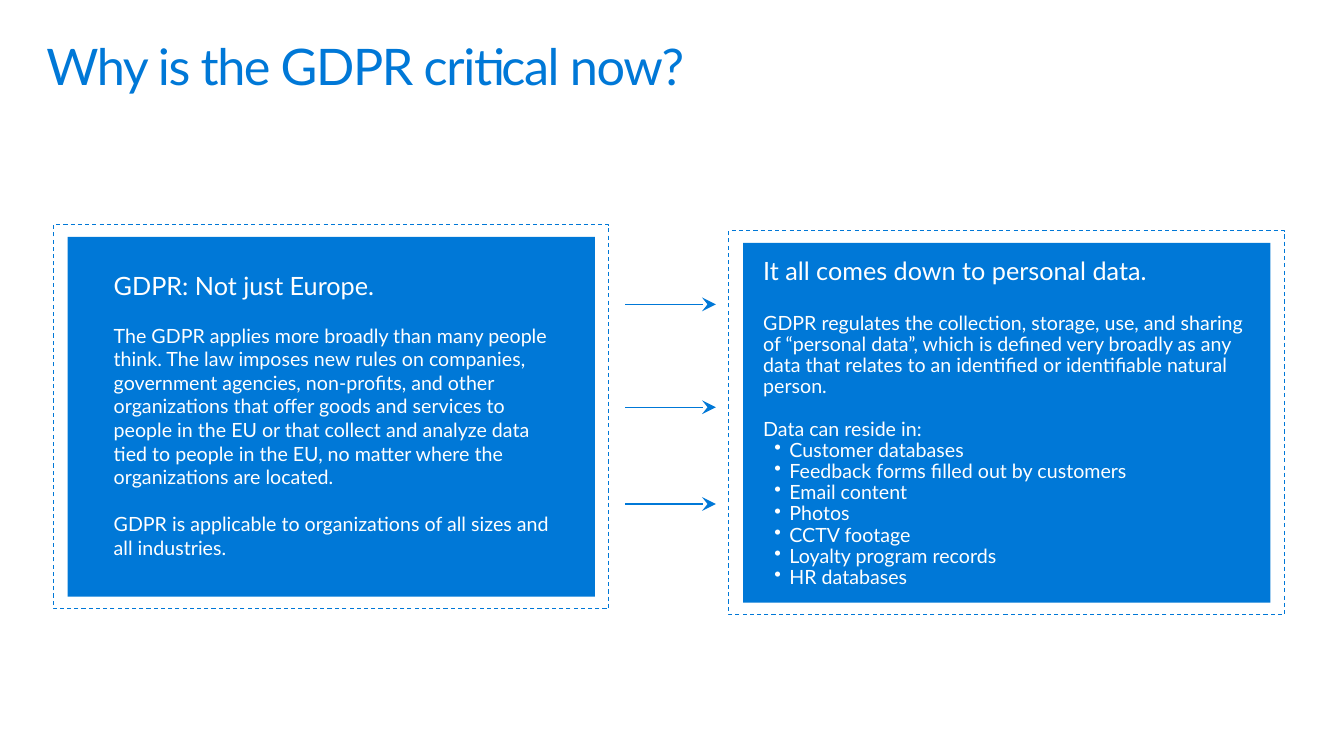
from lxml import etree
from pptx import Presentation
from pptx import util as u
from pptx.dml.color import RGBColor
from pptx.enum import dml, shapes, text
from pptx.oxml import ns


def rgb(value):
    """Turn a hex string into a colour."""
    return RGBColor.from_string(value)


class Deck:
    """Hold the style and the current slide, and draw each kind of element."""

    FONT, BLUE, WHITE = "Lato", "0078D7", "FFFFFF"

    def __init__(self, prs):
        """Add a blank slide to the presentation."""
        self.s = prs.slides.add_slide(prs.slide_layouts[6])

    def rect(self, x, y, w, h, fill, dashed=False):
        """Draw a plain or dashed rectangle."""
        sp = self.s.shapes.add_shape(
            shapes.MSO_SHAPE.RECTANGLE, *map(u.Inches, (x, y, w, h)))
        sp.shadow.inherit = False
        sp.fill.solid()
        sp.fill.fore_color.rgb = rgb(fill)
        if dashed:
            sp.line.color.rgb = rgb(self.BLUE)
            sp.line.width = u.Pt(0.75)
            sp.line.dash_style = dml.MSO_LINE.DASH
        else:
            sp.line.fill.background()
        return sp

    def panel(self, x, y):
        """Draw a blue panel inside a dashed frame."""
        self.rect(x, y, 5.51, 3.81, self.WHITE, dashed=True)
        return self.rect(x + 0.14, y + 0.12, 5.23, 3.57, self.BLUE)

    def box(self, x, y, w, h):
        """Add an empty text box."""
        return self.s.shapes.add_textbox(*map(u.Inches, (x, y, w, h)))

    def add_text(self, sp, paras, color, pad=(0.1, 0.05), line=1.0):
        """Fill a shape with paragraphs of (text, size, space before, bullet)."""
        tf = sp.text_frame
        tf.word_wrap = True
        tf.vertical_anchor = text.MSO_ANCHOR.TOP
        tf.margin_left = tf.margin_right = u.Inches(pad[0])
        tf.margin_top = tf.margin_bottom = u.Inches(pad[1])
        for i, (words, size, before, bullet) in enumerate(paras):
            p = tf.paragraphs[0] if i == 0 else tf.add_paragraph()
            if bullet:
                self.bullet(p)
            p.alignment = text.PP_ALIGN.LEFT
            p.line_spacing = line
            p.space_before = u.Pt(before)
            r = p.add_run()
            r.text = words
            r.font.name = self.FONT
            r.font.size = u.Pt(size)
            r.font.color.rgb = rgb(color)
        return tf

    def bullet(self, p):
        """Give a paragraph a hanging bullet."""
        pPr = p._p.get_or_add_pPr()
        pPr.set("marL", str(u.Inches(0.26)))
        pPr.set("indent", str(-u.Inches(0.15)))
        etree.SubElement(pPr, ns.qn("a:buChar")).set("char", "•")

    def title(self, words):
        """Add the slide title with tightened letters."""
        tf = self.add_text(self.box(0.3, 0.32, 12.75, 0.88),
                           [(words, 36, 0, False)], self.BLUE, (0.16, 0.1), 0.9)
        tf.paragraphs[0].runs[0]._r.get_or_add_rPr().set("spc", "-100")

    def arrow(self, x1, x2, y):
        """Draw a horizontal arrow pointing right."""
        c = self.s.shapes.add_connector(
            shapes.MSO_CONNECTOR.STRAIGHT, *map(u.Inches, (x1, y, x2, y)))
        c.line.color.rgb = rgb(self.BLUE)
        c.line.width = u.Pt(0.75)
        spPr = c._element.spPr
        tail = etree.SubElement(spPr.find(ns.qn("a:ln")), ns.qn("a:tailEnd"))
        for key, value in (("type", "stealth"), ("w", "lg"), ("len", "lg")):
            tail.set(key, value)
        etree.SubElement(spPr, ns.qn("a:effectLst"))


EUROPE = [
    ("GDPR: Not just Europe.", 18, 0, False),
    ("The GDPR applies more broadly than many people think. The law imposes "
     "new rules on companies, government agencies, non-profits, and other "
     "organizations that offer goods and services to people in the EU or that "
     "collect and analyze data tied to people in the EU, no matter where the "
     "organizations are located.", 14, 16.8, False),
    ("GDPR is applicable to organizations of all sizes and all industries.",
     14, 16.8, False),
]
SOURCES = ["Customer databases", "Feedback forms filled out by customers",
           "Email content", "Photos", "CCTV footage",
           "Loyalty program records", "HR databases"]
PERSONAL = [
    ("It all comes down to personal data.", 18, 0, False),
    ("GDPR regulates the collection, storage, use, and sharing of “personal "
     "data”, which is defined very broadly as any data that relates to an "
     "identified or identifiable natural person.", 14, 19.4, False),
    ("Data can reside in:", 14, 15.1, False),
] + [(source, 14, 0, True) for source in SOURCES]


def main():
    """Build the slide and save it."""
    prs = Presentation()
    prs.slide_width, prs.slide_height = u.Inches(13.33), u.Inches(7.5)
    deck = Deck(prs)
    deck.title("Why is the GDPR critical now?")
    for y in (3.02, 4.04, 5):
        deck.arrow(6.2, 7.1, y)
    deck.panel(0.53, 2.23)
    deck.add_text(deck.box(1.03, 2.63, 4.67, 3), EUROPE, deck.WHITE)
    deck.add_text(deck.panel(7.23, 2.29), PERSONAL, deck.WHITE, (0.2, 0.16), 0.9)
    prs.save("out.pptx")


if __name__ == "__main__":
    main()
